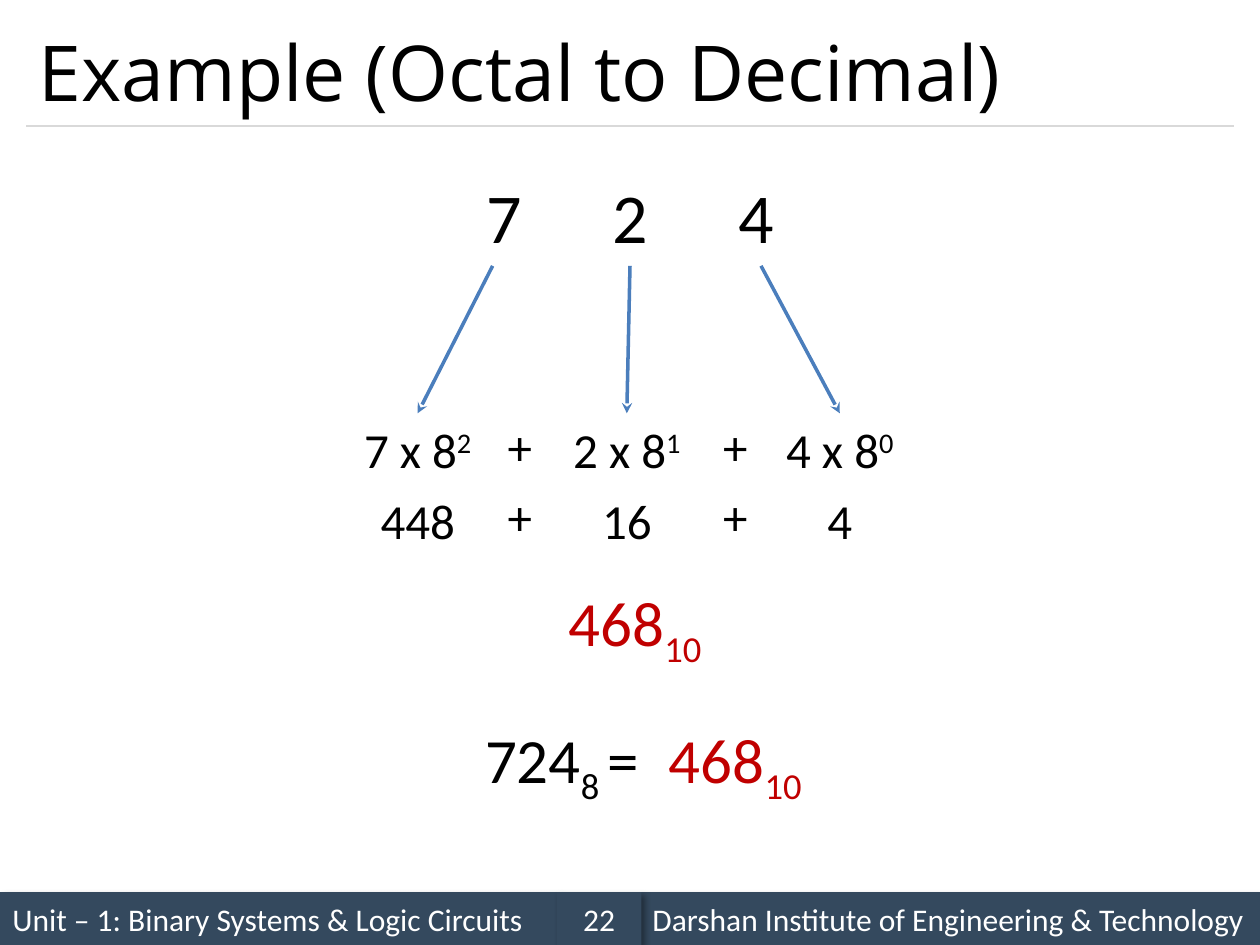
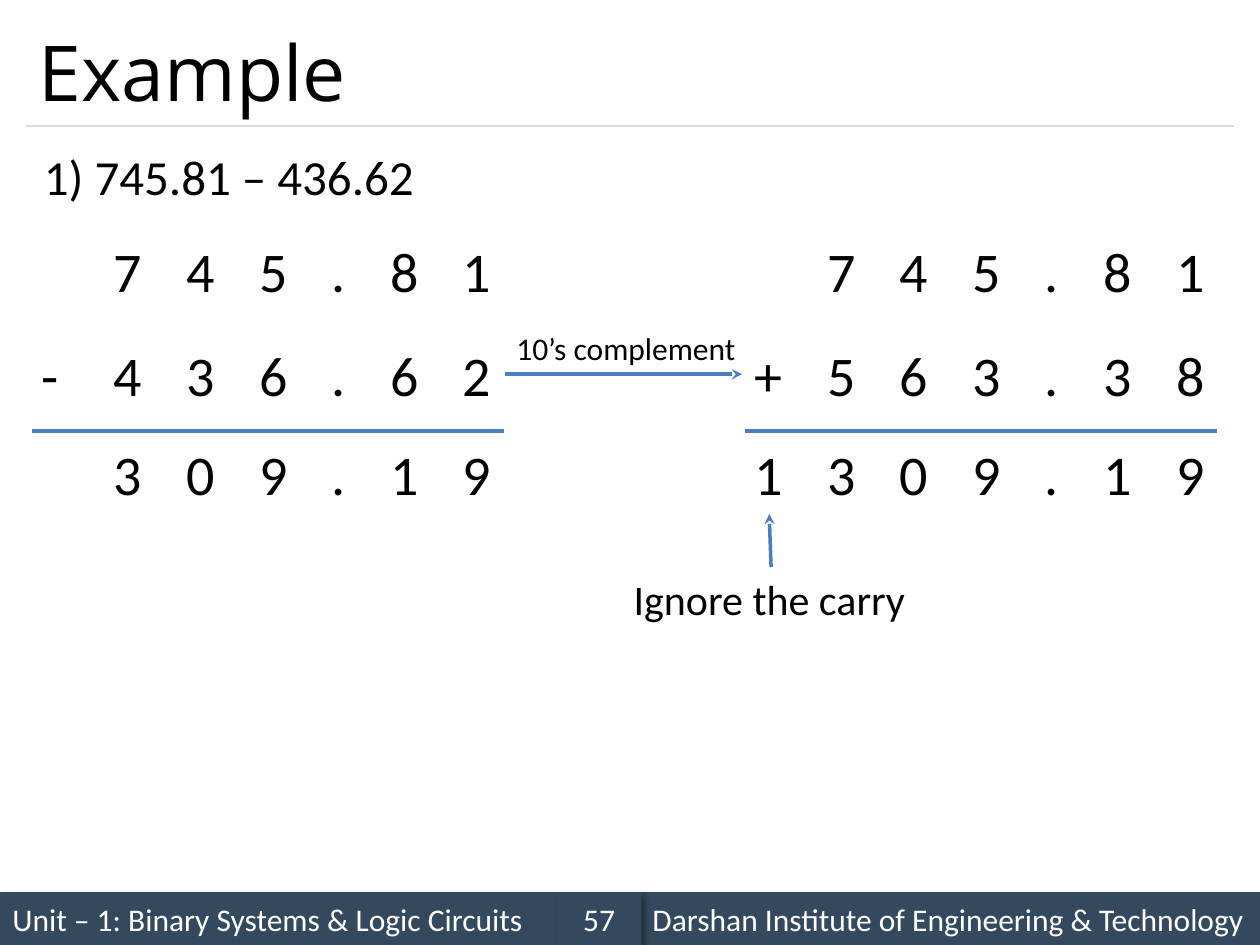
from lxml.etree import SubElement
from pptx import Presentation
from pptx.dml.color import RGBColor
from pptx.enum.shapes import MSO_CONNECTOR as Connector, MSO_SHAPE as Shape
from pptx.enum.text import MSO_ANCHOR as Anchor, MSO_AUTO_SIZE as AutoSize, PP_ALIGN as Align
from pptx.oxml.ns import qn
from pptx.util import Inches, Pt

BLACK = RGBColor(0x00, 0x00, 0x00)
WHITE = RGBColor(0xFF, 0xFF, 0xFF)
NAVY = RGBColor(0x34, 0x49, 0x5E)
BLUE = RGBColor(0x4B, 0x7E, 0xBC)
GREY = RGBColor(0xD9, 0xD9, 0xD9)
RED = RGBColor(0xC0, 0x00, 0x00)

SLIDE_WIDTH, SLIDE_HEIGHT = Inches(10), Inches(7.5)
CELL = SLIDE_WIDTH / 10
MARGIN, CONTENT_WIDTH = 0.21, 9.58
FOOTER_TOP, FOOTER_HEIGHT = 7.08, 0.42
UNIT = "Unit – 1: Binary Systems & Logic Circuits"
INSTITUTE = "Darshan Institute of Engineering & Technology"

SUPER, SUB = 30, -25
TERM_WIDTH, PLUS_WIDTH = 1.29, 0.41
DIGIT_STEP, DIGIT_HEIGHT = 0.576, 0.64
DIGIT_WIDTH, DOT_WIDTH, MINUS_WIDTH = 0.43, 0.32, 0.34
SUM_ROWS = (1.83, 2.65, 3.44)
SUM_WIDTH, SUM_RULE = 3.75, 3.42


def cells(*counts):
    """Turn counts of grid cells into lengths."""
    return [round(count * CELL) for count in counts]


def write(frame, text, size=28, font="Calibri", color=BLACK, align=Align.LEFT,
          anchor=Anchor.TOP, wrap=True, tabs=()):
    """Write a string, or (string, baseline) pairs, as one paragraph."""
    frame.word_wrap = wrap
    frame.vertical_anchor = anchor
    paragraph = frame.paragraphs[0]
    paragraph.alignment = align
    if tabs:
        stops = SubElement(paragraph._p.get_or_add_pPr(), qn("a:tabLst"))
        for stop in cells(*tabs):
            SubElement(stops, qn("a:tab"), pos=str(stop), algn="l")
    for words, baseline in [(text, 0)] if isinstance(text, str) else text:
        run = paragraph.add_run()
        run.text = words
        run.font.size = Pt(size)
        run.font.name = font
        run.font.color.rgb = color
        if baseline:
            run._r.get_or_add_rPr().set("baseline", str(baseline * 1000))


def add_label(slide, text, left, top, width, height, **style):
    """Add a text box that fits its text."""
    label = slide.shapes.add_textbox(*cells(left, top, width, height))
    label.text_frame.auto_size = AutoSize.SHAPE_TO_FIT_TEXT
    write(label.text_frame, text, **style)
    return label


def add_line(slide, start, end, color=BLUE, width=2, arrow=False):
    """Draw a straight line, with an arrowhead at its end if asked."""
    line = slide.shapes.add_connector(Connector.STRAIGHT, *cells(*start, *end))
    line.line.color.rgb = color
    line.line.width = Pt(width)
    if arrow:
        SubElement(line.line._get_or_add_ln(), qn("a:tailEnd"), type="stealth")
    SubElement(line._element.spPr, qn("a:effectLst"))
    return line


def add_joined_arrow(slide, source, source_side, target, target_side):
    """Draw an arrow from one box side to another."""
    arrow = add_line(slide, (0, 0), (1, 1), arrow=True)
    arrow.begin_connect(source, source_side)
    arrow.end_connect(target, target_side)


def add_footer_band(slide, text, left, width, align=Align.LEFT):
    """Add one shadowed part of the footer."""
    band = slide.shapes.add_shape(
        Shape.RECTANGLE, *cells(left, FOOTER_TOP, width, FOOTER_HEIGHT))
    band.fill.solid()
    band.fill.fore_color.rgb = NAVY
    band.line.fill.background()
    band.shadow.inherit = False
    effects = band._element.spPr.find(qn("a:effectLst"))
    shadow = SubElement(effects, qn("a:outerShdw"), blurRad=str(Pt(4)),
                        dist=str(Pt(3)), dir=str(45 * 60000), rotWithShape="0")
    tint = SubElement(shadow, qn("a:srgbClr"), val="000000")
    SubElement(tint, qn("a:alpha"), val="40000")
    write(band.text_frame, text, size=18, color=WHITE, align=align, anchor=Anchor.MIDDLE)


def add_page(deck, title, number):
    """Add a slide with its title, rule and footer."""
    slide = deck.slides.add_slide(deck.slide_layouts[6])
    add_footer_band(slide, UNIT, 0, 4.42)
    add_line(slide, (MARGIN, 1), (MARGIN + CONTENT_WIDTH, 1), color=GREY, width=0.75)
    add_footer_band(slide, INSTITUTE, 5.08, 4.92)
    add_footer_band(slide, str(number), 4.42, 0.67, align=Align.CENTER)
    heading = slide.shapes.add_textbox(*cells(MARGIN, 0.12, CONTENT_WIDTH, 0.88))
    write(heading.text_frame, title, size=44, font="Open Sans", anchor=Anchor.MIDDLE)
    return slide


def add_conversion(slide):
    """Expand an octal number digit by digit into its decimal value."""
    centred = dict(align=Align.CENTER)
    add_label(slide, "7\t2\t4", MARGIN, 1.33, CONTENT_WIDTH, 0.77,
              size=40, tabs=(1, 2), **centred)
    terms = [(2.67, "7", "2", "448", 3.91), (4.33, "2", "1", "16", 5),
             (6.02, "4", "0", "4", 6.04)]
    for left, digit, power, value, digit_x in terms:
        product = add_label(slide, [(f"{digit} x 8", 0), (power, SUPER)],
                            left, 3.28, TERM_WIDTH, 0.57, **centred)
        add_label(slide, value, left, 3.84, TERM_WIDTH, 0.57, **centred)
        arrow = add_line(slide, (digit_x, 2.11), (left, 3.28), arrow=True)
        arrow.end_connect(product, 0)
    for left in (3.92, 5.63):
        for top in (3.26, 3.81):
            add_label(slide, "+", left, top, PLUS_WIDTH, 0.57, **centred)
    add_label(slide, [("724", 0), ("8 ", SUB), ("=", 0)],
              3.67, 5.67, 1.58, 0.71, size=36, **centred)
    for left, top, width in [(4.33, 4.58, 1.42), (5.17, 5.67, 1.33)]:
        add_label(slide, [("468", 0), ("10", SUB)], left, top, width, 0.71,
                  size=36, color=RED, **centred)


def add_sum(slide, left, rows):
    """Set out a column sum and return its boxes by row and column."""
    boxes = {}
    widths = {".": DOT_WIDTH, "-": MINUS_WIDTH}
    for row, (top, digits) in enumerate(zip(SUM_ROWS, rows)):
        for column, digit in enumerate(digits):
            if digit == " ":
                continue
            narrowing = DIGIT_WIDTH - DOT_WIDTH if column > 4 else 0
            boxes[row, column] = add_label(
                slide, digit, left + column * DIGIT_STEP - narrowing, top,
                widths.get(digit, DIGIT_WIDTH), DIGIT_HEIGHT, size=32, wrap=False)
    add_line(slide, (left + 0.02, SUM_RULE), (left + 0.02 + SUM_WIDTH, SUM_RULE))
    return boxes


def add_subtraction(slide):
    """Show a subtraction beside its 10's complement addition."""
    add_label(slide, "1) 745.81 – 436.62", 0.25, 1.11, 3.18, 0.57, wrap=False)
    difference = add_sum(slide, 0.23, (" 745.81", "-436.62", " 309.19"))
    addition = add_sum(slide, 5.89, (" 745.81", "+563.38", "1309.19"))
    carry_note = add_label(slide, "Ignore the carry", 4.93, 4.5, 2.38, 0.5,
                           size=24, wrap=False)
    add_joined_arrow(slide, carry_note, 0, addition[2, 0], 2)
    add_label(slide, "10’s complement", 4, 2.56, 1.96, 0.4, size=18, wrap=False)
    add_joined_arrow(slide, difference[1, 6], 3, addition[1, 0], 1)


def main():
    """Build both slides and save them."""
    deck = Presentation()
    deck.slide_width, deck.slide_height = SLIDE_WIDTH, SLIDE_HEIGHT
    add_conversion(add_page(deck, "Example (Octal to Decimal)", 22))
    add_subtraction(add_page(deck, "Example", 57))
    deck.save("out.pptx")


if __name__ == "__main__":
    main()
